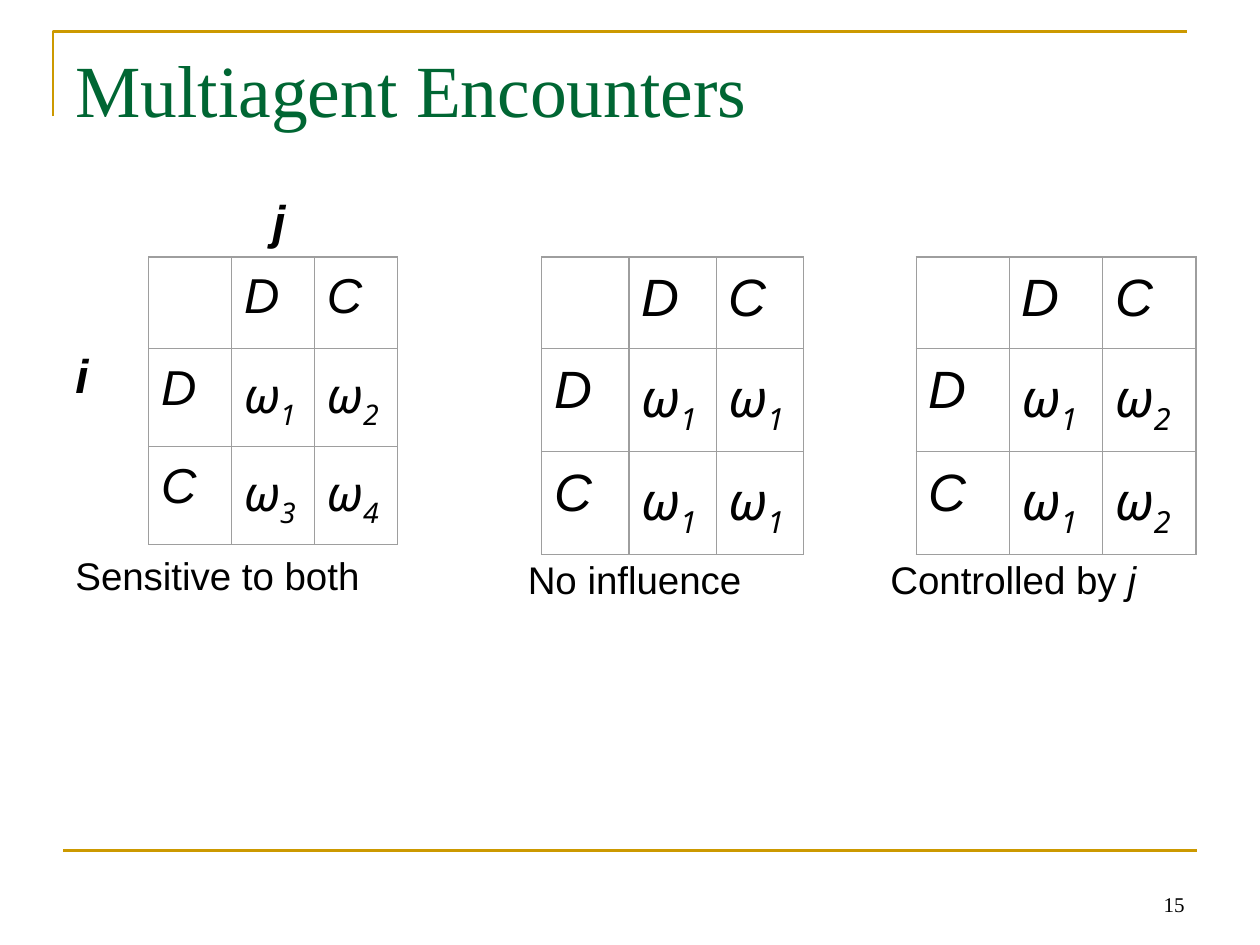
import pptx
import pptx.dml.color
import pptx.enum.shapes
import pptx.enum.text
import pptx.oxml
import pptx.oxml.ns
import pptx.util

Cm = pptx.util.Cm
Pt = pptx.util.Pt
MSO_ANCHOR = pptx.enum.text.MSO_ANCHOR
PP_ALIGN = pptx.enum.text.PP_ALIGN


def rgb(value):
    return pptx.dml.color.RGBColor.from_string(value)


def xml(markup):
    """Parse markup whose root is in the DrawingML namespace."""
    tag, rest = markup[1:].split(" ", 1)
    return pptx.oxml.parse_xml(f"<{tag} {pptx.oxml.ns.nsdecls('a')} {rest}")


def add_text(p, text, size=22, font="Arial", color="000000",
             bold=False, italic=False, baseline=0):
    r = p.add_run()
    r.text = text
    r.font.size = Pt(size)
    r.font.name = font
    r.font.bold = bold
    r.font.italic = italic
    r.font.color.rgb = rgb(color)
    if baseline:
        r._r.get_or_add_rPr().set("baseline", str(baseline * 1000))


class Deck:
    ACCENT = "CC9900"
    GRID = "9E9E9E"
    GREEN = "006633"
    SERIF = "Times New Roman"

    def __init__(self, prs):
        self.s = prs.slides.add_slide(prs.slide_layouts[1])

    def frame(self, sp, left, top, width, height, margin_top=0.13):
        """Place a text shape and return its text frame, set to the deck's style."""
        sp.left, sp.top, sp.width, sp.height = map(Cm, (left, top, width, height))
        tf = sp.text_frame
        tf.word_wrap = True
        tf.auto_size = pptx.enum.text.MSO_AUTO_SIZE.NONE
        tf.vertical_anchor = MSO_ANCHOR.TOP
        tf.margin_left = tf.margin_right = Cm(0.25)
        tf.margin_top, tf.margin_bottom = Cm(margin_top), Cm(0.13)
        return tf

    def title(self, text):
        tf = self.frame(self.s.shapes.title, 1.27, 0.76, 22.86, 3.18)
        p = tf.paragraphs[0]
        p.alignment = PP_ALIGN.LEFT
        add_text(p, text, size=42, font=self.SERIF, color=self.GREEN)

    def body(self, lines):
        """Each line is (space before in points, left indent in cm, text, format)."""
        tf = self.frame(self.s.placeholders[1], 1.27, 2.74, 22.86, 14.81, margin_top=1.27)
        for n, (before, indent, text, style) in enumerate(lines):
            p = tf.add_paragraph() if n else tf.paragraphs[0]
            pPr = p._p.get_or_add_pPr()
            pPr.set("marL", str(int(Cm(indent))))
            pPr.set("indent", "0")
            pPr.append(xml("<a:buNone />"))
            p.line_spacing = 0.9
            p.space_before = Pt(before)
            add_text(p, text, **style)

    def text_box(self, left, top, width, height, runs, align=PP_ALIGN.LEFT,
                 anchor=MSO_ANCHOR.TOP):
        tf = self.frame(self.s.shapes.add_textbox(0, 0, 0, 0), left, top, width, height)
        tf.vertical_anchor = anchor
        p = tf.paragraphs[0]
        p.alignment = align
        for text, style in runs:
            add_text(p, text, **style)

    def page_number(self, number):
        self.text_box(18.21, 17.35, 5.92, 1.27,
                      [(str(number), dict(size=12, font=self.SERIF))],
                      PP_ALIGN.RIGHT, MSO_ANCHOR.BOTTOM)

    def caption(self, left, *runs):
        self.text_box(left, 11.08, 6.4, 1.2, runs)

    def corner(self, points):
        start, *rest = [(Cm(x), Cm(y)) for x, y in points]
        builder = self.s.shapes.build_freeform(*start)
        builder.add_line_segments(rest, close=False)
        sp = builder.convert_to_shape()
        sp.shadow.inherit = False
        sp.fill.background()
        self.accent_line(sp)

    def rule(self, x1, x2, y):
        sp = self.s.shapes.add_connector(
            pptx.enum.shapes.MSO_CONNECTOR.STRAIGHT, Cm(x1), Cm(y), Cm(x2), Cm(y))
        self.accent_line(sp)
        sp._element.spPr.append(xml("<a:effectLst />"))

    def accent_line(self, sp):
        sp.line.color.rgb = rgb(self.ACCENT)
        sp.line.width = Pt(1.5)

    def payoff_table(self, left, col_width, size, outcomes):
        """Two-player matrix: outcomes are the ω indices, one row per move of i."""
        moves = "DC"
        rows = [["", *moves]] + [[m, *row] for m, row in zip(moves, outcomes)]
        heights = [1.85, 1.78, 1.78]
        table = self.s.shapes.add_table(
            3, 3, Cm(left), Cm(5.18), Cm(3 * col_width), Cm(sum(heights))).table
        table.first_row = table.horz_banding = False
        for col in table.columns:
            col.width = Cm(col_width)
        for row, height, values in zip(table.rows, heights, rows):
            row.height = Cm(height)
            for cell, value in zip(row.cells, values):
                self.cell(cell, value, size)

    def cell(self, cell, value, size):
        cell.margin_left = cell.margin_right = Cm(0.25)
        cell.margin_top = cell.margin_bottom = Cm(0.25)
        cell.fill.background()
        tcPr = cell._tc.get_or_add_tcPr()
        for n, side in enumerate("LRTB"):
            tcPr.insert(n, xml(
                f'<a:ln{side} w="{Pt(0.75)}"><a:solidFill><a:srgbClr val="{self.GRID}"/>'
                f"</a:solidFill></a:ln{side}>"))
        p = cell.text_frame.paragraphs[0]
        if isinstance(value, int):
            add_text(p, "ω", size=size, font="Noto Sans", italic=True)
            add_text(p, str(value), size=size, font="Noto Sans", italic=True, baseline=-25)
        elif value:
            add_text(p, value, size=size, italic=True)


def main():
    prs = pptx.Presentation()
    prs.slide_width, prs.slide_height = Cm(25.4), Cm(19.05)
    deck = Deck(prs)
    deck.corner([(1.07, 2.34), (1.07, 0.64), (23.93, 0.64)])
    deck.rule(1.27, 24.13, 17.15)
    deck.page_number(15)
    deck.title("Multiagent Encounters")

    player = dict(size=27, bold=True, italic=True)
    deck.body([
        (0, 3.97, "j", player),
        (58.5, 0, "i", player),
        (88, 0, "Sensitive to both", {}),
    ])
    deck.caption(10.39, ("No influence", {}))
    deck.caption(17.7, ("Controlled by ", {}), ("j", dict(italic=True)))

    deck.payoff_table(3.0, 1.67, 28, [(1, 2), (3, 4)])
    deck.payoff_table(10.92, 1.76, 30, [(1, 1), (1, 1)])
    deck.payoff_table(18.47, 1.88, 30, [(1, 2), (1, 2)])
    prs.save("out.pptx")


if __name__ == "__main__":
    main()
